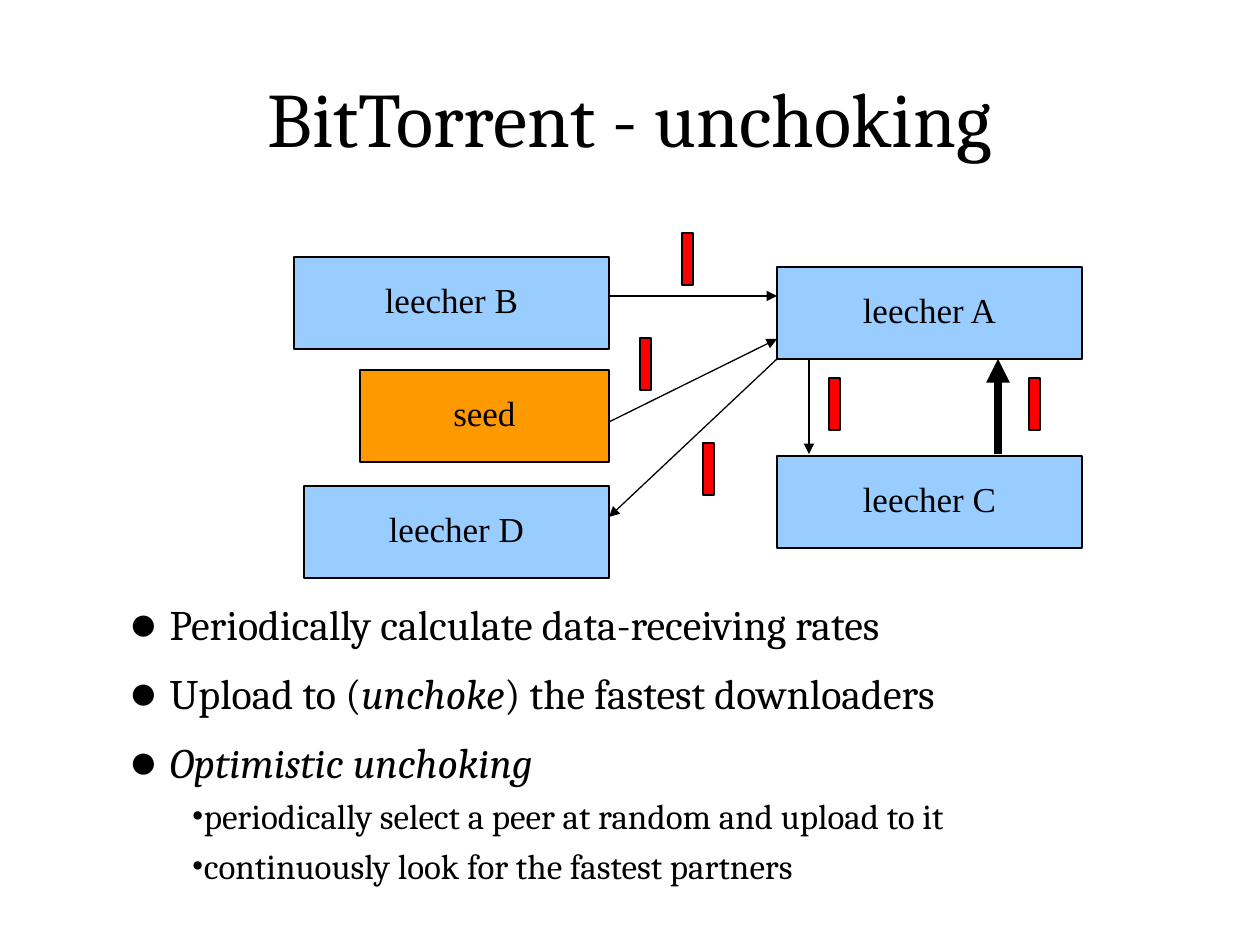
from lxml import etree
from pptx import Presentation
from pptx.dml.color import RGBColor
from pptx.enum.shapes import MSO_CONNECTOR, MSO_SHAPE
from pptx.enum.text import MSO_ANCHOR, MSO_AUTO_SIZE, PP_ALIGN
from pptx.oxml.ns import qn
from pptx.util import Emu, Pt

PROCESS = MSO_SHAPE.FLOWCHART_PROCESS
RECTANGLE = MSO_SHAPE.RECTANGLE
STRAIGHT = MSO_CONNECTOR.STRAIGHT
MIDDLE = MSO_ANCHOR.MIDDLE
TOP = MSO_ANCHOR.TOP
CENTER = PP_ALIGN.CENTER
LEFT = PP_ALIGN.LEFT
NO_AUTOFIT = MSO_AUTO_SIZE.NONE

EMU_PER_PX = 914400 / 126
BLACK, BLUE, ORANGE, RED = "000000", "99CCFF", "FF9900", "FF0000"
SERIF, LABEL_FONT = "Cambria", "Times New Roman"

TITLE_BOX = (63, 38, 1134, 157)
DIAGRAM_BOX = (294, 233, 788, 345)
LIST_BOX = (116, 600, 1134, 325)

PEER_HEIGHT = 92
PEERS = [
    ("leecher A", 483, 34, 305, BLUE),
    ("seed", 66, 137, 249, ORANGE),
    ("leecher B", 0, 24, 315, BLUE),
    ("leecher C", 483, 223, 305, BLUE),
    ("leecher D", 10, 253, 305, BLUE),
]
ARROWS = [
    (315, 63, 483, 63, 0.75),
    (704, 221, 704, 126, 4.5),
    (515, 126, 515, 221, 0.75),
    (315, 189, 483, 106, 0.75),
    (483, 126, 315, 284, 0.75),
]
PIECE_SIZE = (11, 52)
PIECES = [(388, 0), (346, 105), (409, 210), (535, 145), (735, 145)]

LEVELS = [
    {"size": 24, "before": 15, "margin": 41, "indent": -41,
     "bullet": "●", "bullet_size": 117000},
    {"size": 20, "before": 8, "margin": 63, "indent": 0,
     "bullet": "•", "bullet_size": 100000},
]
ITEMS = [
    (0, [("Periodically calculate data-receiving rates", False)]),
    (0, [("Upload to (", False), ("unchoke", True),
         (") the fastest downloaders", False)]),
    (0, [("Optimistic unchoking", True)]),
    (1, [("periodically select a peer at random and upload to it", False)]),
    (1, [("continuously look for the fastest partners", False)]),
]


def px(length):
    return Emu(round(length * EMU_PER_PX))


def color(value):
    return RGBColor.from_string(value)


def apply(target, values):
    for name, value in values.items():
        setattr(target, name, value)


def place(shape, box):
    apply(shape, dict(zip(("left", "top", "width", "height"), map(px, box))))


def format_font(font, name, size, italic=False):
    apply(font, {"name": name, "size": Pt(size), "italic": italic})
    font.color.rgb = color(BLACK)


def style_line(line, width):
    line.color.rgb = color(BLACK)
    line.width = Pt(width)


def add_block(slide, preset, box, fill):
    shape = slide.shapes.add_shape(preset, *map(px, box))
    shape.shadow.inherit = False
    shape.fill.solid()
    shape.fill.fore_color.rgb = color(fill)
    style_line(shape.line, 0.75)
    return shape


def add_arrow(slide, start, end, width):
    arrow = slide.shapes.add_connector(STRAIGHT, *map(px, start + end))
    style_line(arrow.line, width)
    properties = arrow._element.spPr
    etree.SubElement(properties.find(qn("a:ln")), qn("a:tailEnd"), type="triangle")
    etree.SubElement(properties, qn("a:effectLst"))


def add_title(slide, box):
    title = slide.shapes.title
    place(title, box)
    apply(title.text_frame, {"text": "BitTorrent - unchoking",
                             "vertical_anchor": MIDDLE, "auto_size": NO_AUTOFIT})
    paragraph = title.text_frame.paragraphs[0]
    paragraph.alignment = CENTER
    format_font(paragraph.runs[0].font, SERIF, 44)


def add_diagram(slide, box):
    left, top = box[:2]
    for name, x, y, width, fill in PEERS:
        peer = add_block(slide, PROCESS, (left + x, top + y, width, PEER_HEIGHT), fill)
        apply(peer.text_frame, {"text": name, "vertical_anchor": MIDDLE})
        paragraph = peer.text_frame.paragraphs[0]
        apply(paragraph, {"alignment": CENTER, "line_spacing": 0.85})
        format_font(paragraph.runs[0].font, LABEL_FONT, 20)
    for x1, y1, x2, y2, width in ARROWS:
        add_arrow(slide, (left + x1, top + y1), (left + x2, top + y2), width)
    for x, y in PIECES:
        add_block(slide, RECTANGLE, (left + x, top + y, *PIECE_SIZE), RED)


def add_bullet(paragraph, level):
    properties = paragraph._p.get_or_add_pPr()
    properties.set("marL", str(px(level["margin"])))
    properties.set("indent", str(px(level["indent"])))
    etree.SubElement(properties, qn("a:buSzPct"), val=str(level["bullet_size"]))
    etree.SubElement(properties, qn("a:buFont"), typeface=LABEL_FONT)
    etree.SubElement(properties, qn("a:buChar"), char=level["bullet"])


def add_list(slide, box):
    body = slide.placeholders[1]
    place(body, box)
    frame = body.text_frame
    apply(frame, {"word_wrap": True, "auto_size": NO_AUTOFIT, "vertical_anchor": TOP})
    for index, (depth, runs) in enumerate(ITEMS):
        paragraph = frame.add_paragraph() if index else frame.paragraphs[0]
        level = LEVELS[depth]
        add_bullet(paragraph, level)
        apply(paragraph, {"level": depth, "alignment": LEFT, "line_spacing": 0.85,
                          "space_before": Pt(level["before"] if index else 0)})
        for text, italic in runs:
            run = paragraph.add_run()
            run.text = text
            format_font(run.font, SERIF, level["size"], italic)


def main():
    presentation = Presentation()
    apply(presentation, {"slide_width": px(1260), "slide_height": px(945)})
    slide = presentation.slides.add_slide(presentation.slide_layouts[1])
    add_title(slide, TITLE_BOX)
    add_diagram(slide, DIAGRAM_BOX)
    add_list(slide, LIST_BOX)
    presentation.save("out.pptx")


if __name__ == "__main__":
    main()
